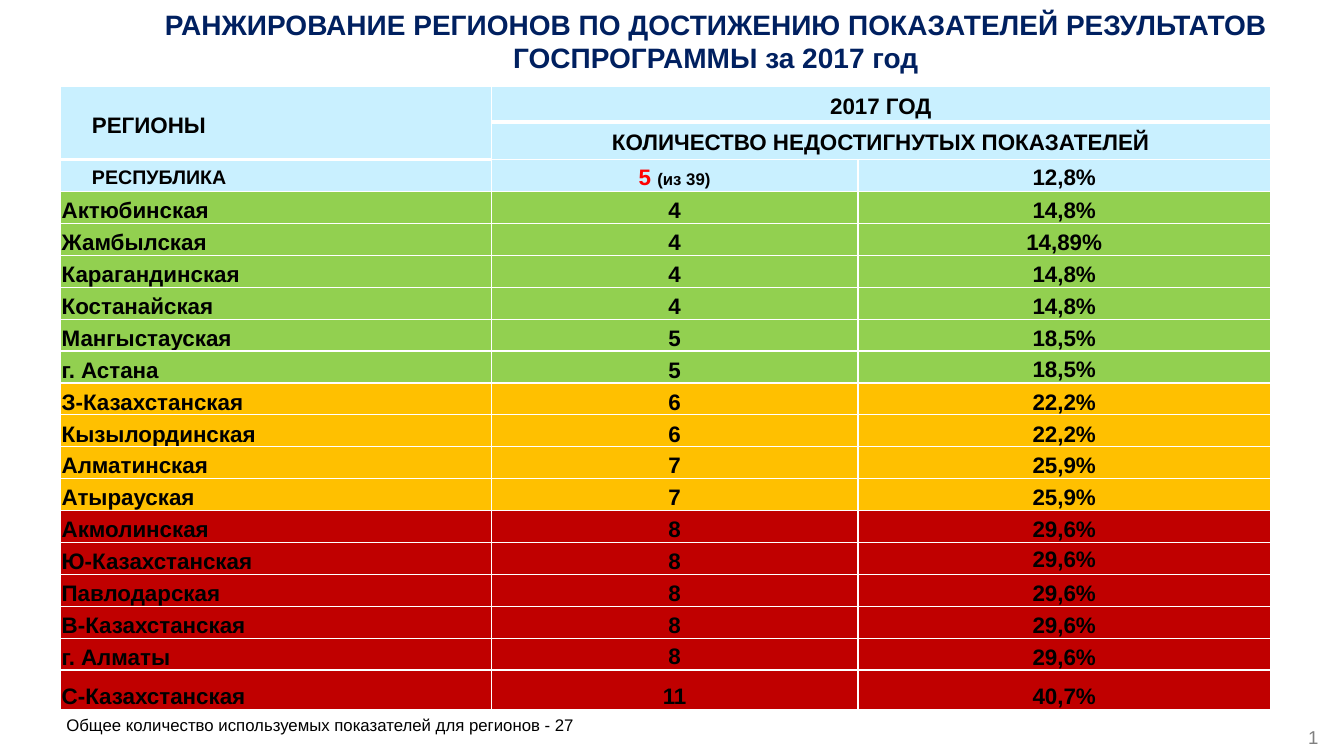
"""Build a slide that ranks the regions by missed programme targets."""
from pptx import Presentation
from pptx.dml.color import RGBColor
from pptx.enum.text import MSO_ANCHOR as Anchor, MSO_AUTO_SIZE as Fit, PP_ALIGN as Align
from pptx.oxml import parse_xml
from pptx.oxml.ns import nsdecls, qn
from pptx.util import Pt

TITLE = "РАНЖИРОВАНИЕ РЕГИОНОВ ПО ДОСТИЖЕНИЮ ПОКАЗАТЕЛЕЙ РЕЗУЛЬТАТОВ ГОСПРОГРАММЫ за 2017 год"
NOTE = "Общее количество используемых показателей для регионов - 27"
PALE, GREEN, AMBER, RED = "C9F0FF", "92D050", "FFC000", "C00000"
HEAD = [
    ("РЕГИОНЫ", "2017 ГОД", ""),
    ("", "КОЛИЧЕСТВО НЕДОСТИГНУТЫХ ПОКАЗАТЕЛЕЙ", ""),
    ([("РЕСПУБЛИКА", 14, "000000")],
     [("5 ", 16, "FF0000"), ("(из 39)", 12, "000000")], "12,8%"),
]
GROUPS = [
    (GREEN, [
        ("Актюбинская", "4", "14,8%"),
        ("Жамбылская", "4", "14,89%"),
        ("Карагандинская", "4", "14,8%"),
        ("Костанайская", "4", "14,8%"),
        ("Мангыстауская", "5", "18,5%"),
        ("г. Астана", "5", "18,5%"),
    ]),
    (AMBER, [
        ("З-Казахстанская", "6", "22,2%"),
        ("Кызылординская", "6", "22,2%"),
        ("Алматинская", "7", "25,9%"),
        ("Атырауская", "7", "25,9%"),
    ]),
    (RED, [
        ("Акмолинская", "8", "29,6%"),
        ("Ю-Казахстанская", "8", "29,6%"),
        ("Павлодарская", "8", "29,6%"),
        ("В-Казахстанская", "8", "29,6%"),
        ("г. Алматы", "8", "29,6%"),
        ("С-Казахстанская", "11", "40,7%"),
    ]),
]
ROWS = [(PALE, row) for row in HEAD] + [(hue, row) for hue, rows in GROUPS for row in rows]
COLS = [307.4, 262.1, 294.5]
TALL = [25.4, 26.8] + [22.8] * (len(ROWS) - 3) + [27.9]
MERGES = [((0, 0), (1, 0)), ((0, 1), (0, 2)), ((1, 1), (1, 2))]
HEAVY = {(0, 0), (0, 1), (0, 2), (1, 0)}
SHIFT = {(8, 2): Anchor.MIDDLE, (14, 2): Anchor.TOP, (17, 1): Anchor.MIDDLE}


def color(hue):
    return RGBColor.from_string(hue)


def write(box, text, size=16, hue="000000", bold=False, align=Align.LEFT,
          lead=None, indent=0, anchor=Anchor.TOP, pad=(0, 0, 0, 0)):
    """Fill a shape or cell with one formatted paragraph and return it."""
    para = box.text_frame.paragraphs[0]
    para.alignment = align
    if lead:
        para.line_spacing = lead
    if indent:
        para._p.get_or_add_pPr().set("marL", str(Pt(indent)))
    runs = [(text, size, hue)] if isinstance(text, str) else text
    for words, points, tint in runs:
        run = para.add_run()
        run.text = words
        font = run.font
        font.name, font.size, font.bold = "Arial", Pt(points), bold
        font.color.rgb = color(tint)
    area = box if hasattr(box, "margin_left") else box.text_frame
    area.vertical_anchor = anchor
    area.margin_left, area.margin_top, area.margin_right, area.margin_bottom = map(Pt, pad)
    return para


def edge(cell, side, width):
    cell._tc.get_or_add_tcPr().append(parse_xml(
        f'<a:{side} {nsdecls("a")} w="{Pt(width)}"><a:solidFill>'
        f'<a:srgbClr val="FFFFFF"/></a:solidFill></a:{side}>'))


def label(slide, spot, text, fit=Fit.SHAPE_TO_FIT_TEXT, **style):
    box = slide.shapes.add_textbox(*map(Pt, spot))
    box.text_frame.word_wrap = False
    box.text_frame.auto_size = fit
    return write(box, text, **style)


def ranking(slide):
    spot = map(Pt, (43.4, 61.8, sum(COLS), sum(TALL)))
    table = slide.shapes.add_table(len(ROWS), len(COLS), *spot).table
    table.horz_banding = False
    for col, width in zip(table.columns, COLS):
        col.width = Pt(width)
    for row, height in zip(table.rows, TALL):
        row.height = Pt(height)
    for first, last in MERGES:
        table.cell(*first).merge(table.cell(*last))
    for r, (hue, row) in enumerate(ROWS):
        top = r < len(HEAD)
        for c, text in enumerate(row):
            cell = table.cell(r, c)
            edge(cell, "lnL", 1)
            edge(cell, "lnR", 1)
            edge(cell, "lnT", 3 if (r - 1, c) in HEAVY else 1)
            edge(cell, "lnB", 3 if (r, c) in HEAVY else 1)
            cell.fill.solid()
            cell.fill.fore_color.rgb = color(hue)
            if text:
                write(cell, text, bold=True, lead=1.15,
                      align=Align.CENTER if c else Align.LEFT,
                      indent=21.6 if top and not c else 0,
                      anchor=SHIFT.get((r, c), Anchor.MIDDLE if top else Anchor.BOTTOM),
                      pad=(0.7, 0.7, 0.7, 0))


def main():
    deck = Presentation()
    deck.slide_width, deck.slide_height = Pt(960), Pt(540)
    slide = deck.slides.add_slide(deck.slide_layouts[5])
    title = slide.shapes.title
    title.left, title.top, title.width, title.height = map(Pt, (67, 1.4, 888.5, 55.4))
    title.text_frame.word_wrap = True
    title.text_frame.auto_size = Fit.NONE
    write(title, TITLE, size=20, hue="002060", bold=True, align=Align.CENTER,
          pad=(7.2, 3.6, 7.2, 3.6))
    ranking(slide)
    label(slide, (40.3, 506.9, 380.9, 21.6), NOTE, size=12, pad=(7.2, 3.6, 7.2, 3.6))
    page = label(slide, (925.2, 518.4, 16.6, 15.8), "1", fit=Fit.NONE, size=13.3,
                 hue="808080", align=Align.RIGHT, anchor=Anchor.MIDDLE)
    field = page.runs[0]._r
    field.tag = qn("a:fld")
    field.set("id", "{B6F15528-21DE-4FAA-801E-634DDDAF4B2B}")
    field.set("type", "slidenum")
    deck.save("out.pptx")


if __name__ == "__main__":
    main()
